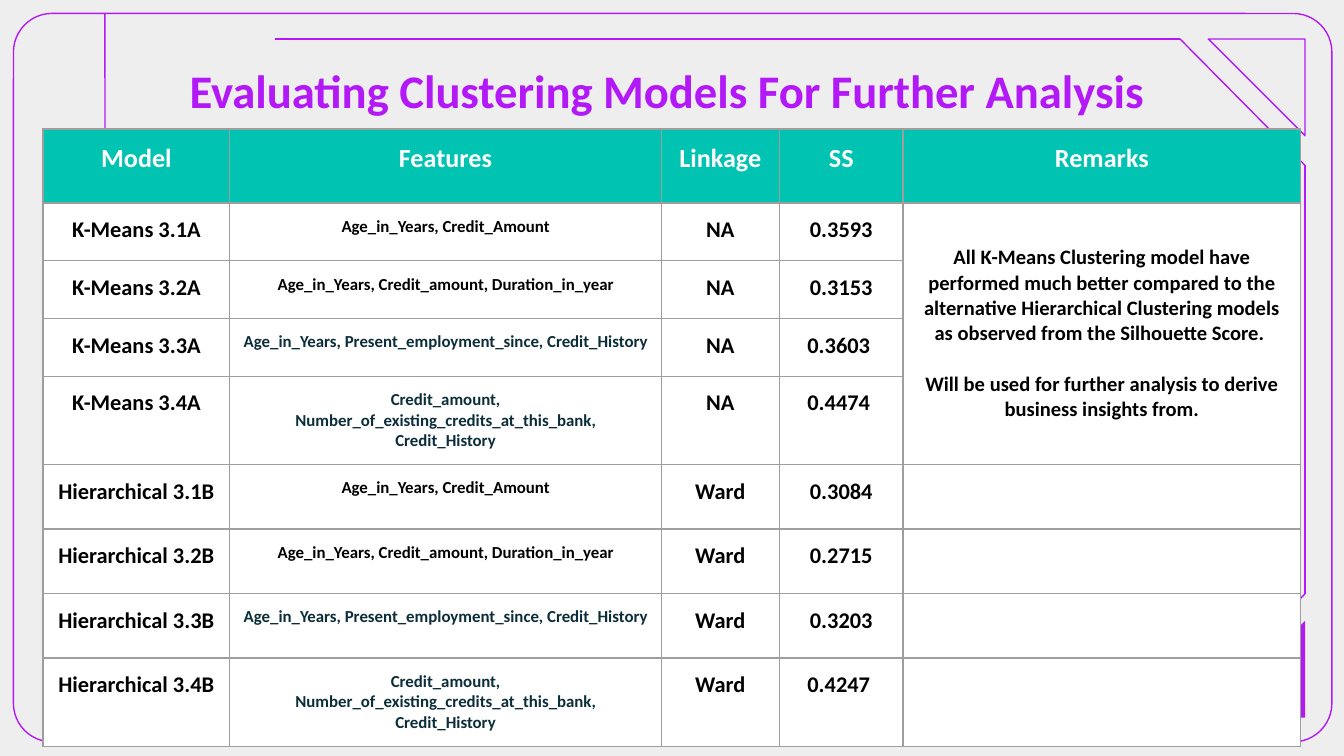
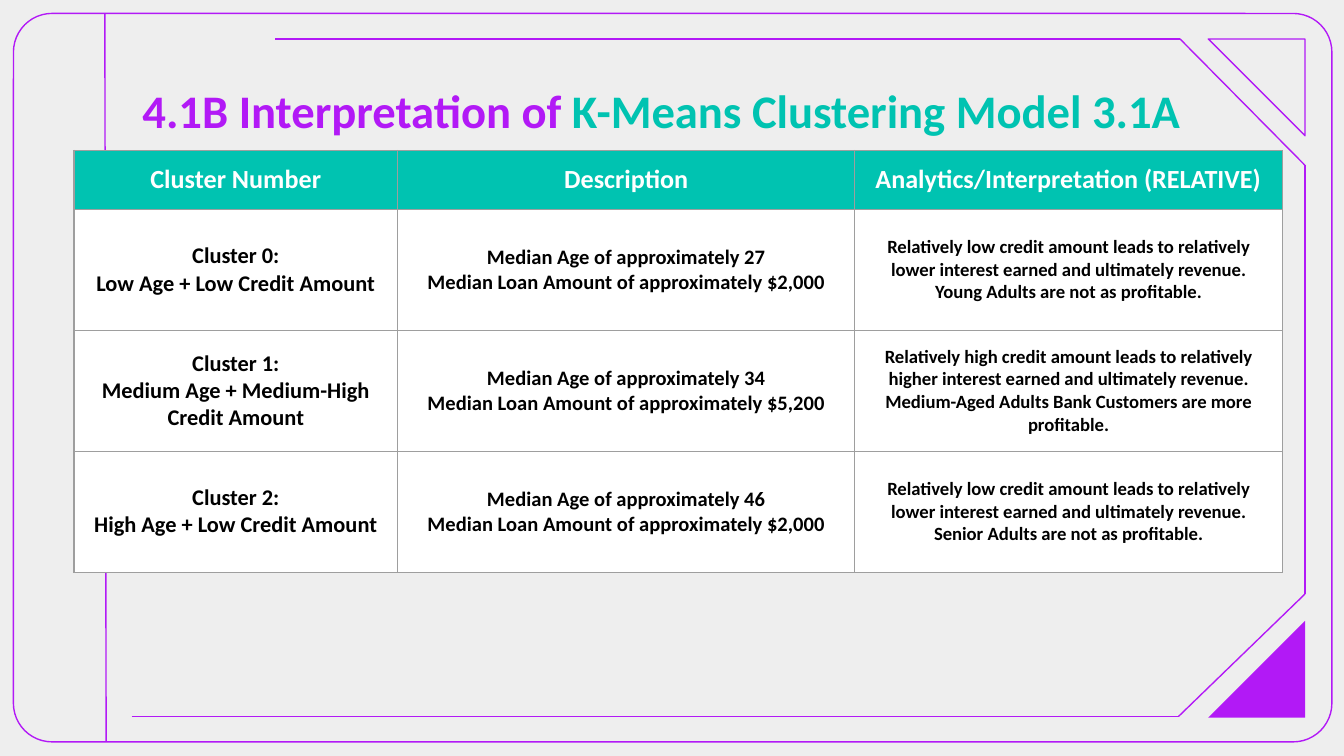
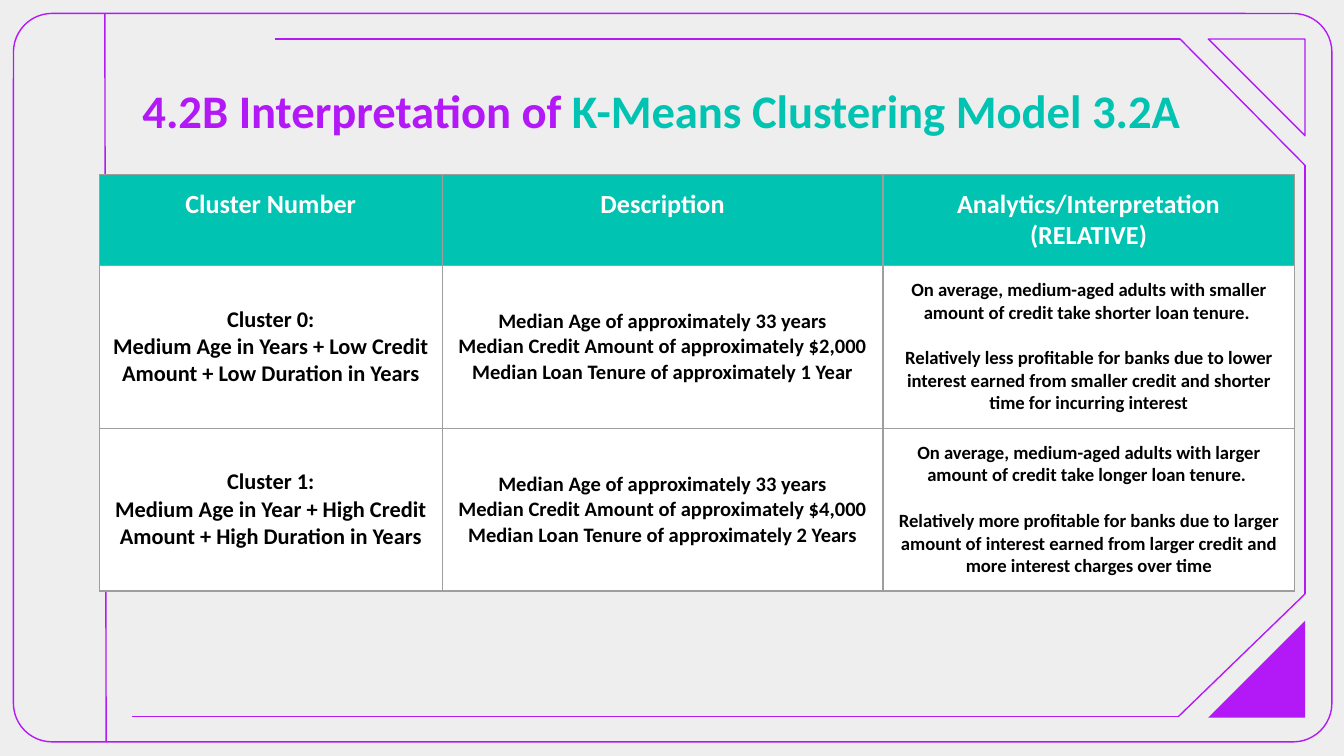
from lxml import etree
from pptx import Presentation
from pptx.dml.color import RGBColor
from pptx.enum.shapes import MSO_CONNECTOR, MSO_SHAPE
from pptx.enum.text import MSO_ANCHOR, MSO_AUTO_SIZE, PP_ALIGN
from pptx.oxml.ns import qn
from pptx.util import Inches, Pt

PURPLE = RGBColor(0xB2, 0x19, 0xF6)
TEAL = RGBColor(0x00, 0xC3, 0xB1)
NAVY = RGBColor(0x0C, 0x2E, 0x3A)
GREY = RGBColor(0x9E, 0x9E, 0x9E)
PALE = RGBColor(0xEE, 0xEE, 0xEE)
WHITE = RGBColor(0xFF, 0xFF, 0xFF)
BLACK = RGBColor(0x00, 0x00, 0x00)
FONT = "Calibri"
LINE_WIDTH = Pt(0.75)
INSET = Inches(0.1)
LINE_HEIGHT = 1.22


class Deck:
    def __init__(self):
        self.prs = Presentation()
        # Widescreen, 16:9
        self.prs.slide_width = Inches(10)
        self.prs.slide_height = Inches(10) * 9 // 16
        self.layout = self.prs.slide_layouts[5]
        for ph in list(self.layout.placeholders)[1:]:
            ph.element.getparent().remove(ph.element)
        self.slide = None

    def new_slide(self):
        self.slide = self.prs.slides.add_slide(self.layout)
        if len(self.prs.slides) == 1:
            self.frame()

    # Shared decoration, placed on the layout
    def frame(self):
        self.layout.background.fill.solid()
        self.layout.background.fill.fore_color.rgb = PALE
        border = self.shape(MSO_SHAPE.ROUNDED_RECTANGLE, 0.1, 0.1, 9.81, 5.42)
        border.adjustments[0] = 0.053
        parts = [border]
        for ends in ((0.78, 0.1, 0.79, 5.52), (0.98, 5.33, 8.77, 5.33),
                     (9.71, 4.42, 8.77, 5.33), (2.05, 0.29, 8.78, 0.29),
                     (9.71, 1.23, 8.78, 0.29), (9.71, 1.23, 9.71, 4.42)):
            parts.append(self.line(*ends))
        for top, turn, filled in ((4.62, 0, True), (0.29, 270, False)):
            corner = self.shape(MSO_SHAPE.RIGHT_TRIANGLE, 8.99, top, 0.72, 0.72, filled)
            corner.rotation = turn
            corner.element.spPr.get_or_add_xfrm().set("flipH", "1")
            parts.append(corner)
        for part in parts:
            self.layout.shapes.element.append(part.element)

    def shape(self, kind, left, top, width, height, filled=False):
        sp = self.slide.shapes.add_shape(
            kind, Inches(left), Inches(top), Inches(width), Inches(height))
        sp.shadow.inherit = False
        if filled:
            sp.fill.solid()
            sp.fill.fore_color.rgb = PURPLE
            sp.line.fill.background()
        else:
            sp.fill.background()
            sp.line.color.rgb = PURPLE
            sp.line.width = LINE_WIDTH
        return sp

    def line(self, x1, y1, x2, y2):
        cn = self.slide.shapes.add_connector(
            MSO_CONNECTOR.STRAIGHT, Inches(x1), Inches(y1), Inches(x2), Inches(y2))
        cn.line.color.rgb = PURPLE
        cn.line.width = LINE_WIDTH
        etree.SubElement(cn.element.spPr, qn("a:effectLst"))
        return cn

    @staticmethod
    def style(r, size, color):
        r.font.name, r.font.size, r.font.bold = FONT, Pt(size), True
        r.font.color.rgb = color

    def title(self, top, height, runs, align=PP_ALIGN.LEFT):
        sp = self.slide.shapes.title
        sp.left, sp.top = Inches(0.96), Inches(top)
        sp.width, sp.height = Inches(8.08), Inches(height)
        tf = sp.text_frame
        tf.auto_size = MSO_AUTO_SIZE.NONE
        tf.word_wrap = True
        tf.vertical_anchor = MSO_ANCHOR.MIDDLE
        tf.margin_left = tf.margin_right = tf.margin_top = tf.margin_bottom = INSET
        p = tf.paragraphs[0]
        p.alignment = align
        for text, color in runs:
            r = p.add_run()
            r.text = text
            self.style(r, 25, color)

    def cell(self, cell, text, size, color, fill, anchor, gap=False):
        cell.fill.solid()
        cell.fill.fore_color.rgb = fill
        cell.vertical_anchor = anchor
        cell.margin_left = cell.margin_right = INSET
        cell.margin_top = cell.margin_bottom = INSET
        self.borders(cell)
        tf = cell.text_frame
        tf.text = text
        for i, p in enumerate(tf.paragraphs):
            p.alignment = PP_ALIGN.CENTER
            if gap and i:
                p.space_before = Pt(round(size * LINE_HEIGHT, 1))
            for r in p.runs:
                self.style(r, size, color)
            if not p.runs:
                etree.SubElement(p._p, qn("a:endParaRPr"), sz=str(size * 100))

    @staticmethod
    def borders(cell):
        tc_pr = cell._tc.get_or_add_tcPr()
        for i, side in enumerate(("lnL", "lnR", "lnT", "lnB")):
            ln = etree.Element(qn(f"a:{side}"), w=str(LINE_WIDTH))
            fill = etree.SubElement(ln, qn("a:solidFill"))
            etree.SubElement(fill, qn("a:srgbClr"), val=str(GREY))
            tc_pr.insert(i, ln)

    def table(self, left, top, widths, heights, sizes, data, anchor=MSO_ANCHOR.MIDDLE):
        """The first row is the header; paragraphs in the last column are spaced apart."""
        table = self.slide.shapes.add_table(
            len(heights), len(widths), Inches(left), Inches(top),
            Inches(sum(widths)), Inches(sum(heights))).table
        for column, width in zip(table.columns, widths):
            column.width = Inches(width)
        for row, height in zip(table.rows, heights):
            row.height = Inches(height)
        last = len(widths) - 1
        for i, row in enumerate(data):
            for j, text in enumerate(row):
                if i == 0:
                    self.cell(table.cell(i, j), text, 14, WHITE, TEAL, MSO_ANCHOR.TOP)
                else:
                    self.cell(table.cell(i, j), text, sizes[j], BLACK, WHITE,
                              MSO_ANCHOR.MIDDLE if j == last else anchor, j == last)
        return table


def model_slide(deck):
    deck.new_slide()
    deck.title(0.25, 0.84, [("Evaluating Clustering Models For Further Analysis ", PURPLE)],
               PP_ALIGN.CENTER)
    features = ["Age_in_Years, Credit_Amount",
                "Age_in_Years, Credit_amount, Duration_in_year",
                "Age_in_Years, Present_employment_since, Credit_History",
                "Credit_amount, Number_of_existing_credits_at_this_bank, Credit_History"]
    families = [("K-Means", "A", "NA", ["0.3593", "0.3153", "0.3603 ", "0.4474 "]),
                ("Hierarchical", "B", "Ward", ["0.3084", "0.2715", "0.3203", "0.4247 "])]
    data = [["Model", "Features", "Linkage", "SS", "Remarks"]]
    for family, letter, linkage, scores in families:
        for n, (feature, score) in enumerate(zip(features, scores), 1):
            data.append([f"{family} 3.{n}{letter}", feature, linkage, score, ""])
    data[1][4] = (
        "All K-Means Clustering model have performed much better compared to the alternative "
        "Hierarchical Clustering models as observed from the Silhouette Score. \n"
        "Will be used for further analysis to derive business insights from.")
    heights = [0.55] + [0.43] * 3 + [0.65] + [0.48] * 3 + [0.65]
    table = deck.table(0.32, 0.96, [1.39, 3.21, 0.88, 0.92, 2.96], heights,
                       [12, 9, 12, 12, 11], data, MSO_ANCHOR.TOP)
    table.cell(1, 4).merge(table.cell(4, 4))
    # Feature sets with credit history are dark blue
    for i, row in enumerate(data):
        if "Credit_History" in row[1]:
            table.cell(i, 1).text_frame.paragraphs[0].runs[0].font.color.rgb = NAVY


def cluster_slide(deck, number, left, top, widths, heights, clusters):
    deck.new_slide()
    deck.title(0.59, 0.46, [(f"4.{number}B Interpretation of ", PURPLE),
                            (f"K-Means Clustering Model 3.{number}A", TEAL)])
    data = [["Cluster Number", "Description", "Analytics/Interpretation (RELATIVE)"]]
    for n, (name, description, analysis) in enumerate(clusters):
        data.append([f"Cluster {n}:\n{name}", description, analysis])
    deck.table(left, top, widths, heights, [12, 11, 10], data)


def age_credit_row(name, age, amount, level, people):
    direction = "higher" if level == "high" else "lower"
    return (name,
            f"Median Age of approximately {age}\nMedian Loan Amount of approximately ${amount}",
            f"Relatively {level} credit amount leads to relatively {direction} interest earned "
            f"and ultimately revenue. {people} profitable.")


def tenure_row(name, amount, tenure, size, length, outcome):
    return (name,
            "Median Age of approximately 33 years\n"
            f"Median Credit Amount of approximately ${amount}\n"
            f"Median Loan Tenure of approximately {tenure}",
            f"On average, medium-aged adults with {size} amount of credit take {length} "
            f"loan tenure. \n{outcome}")


def main():
    deck = Deck()
    model_slide(deck)
    cluster_slide(deck, 1, 0.55, 1.12, [2.41, 3.4, 3.18], [0.43, 0.9, 0.9, 0.9], [
        age_credit_row("Low Age + Low Credit Amount", 27, "2,000", "low",
                       "Young Adults are not as"),
        age_credit_row("Medium Age + Medium-High Credit Amount", 34, "5,200", "high",
                       "Medium-Aged Adults Bank Customers are more"),
        age_credit_row("High Age + Low Credit Amount", 46, "2,000", "low",
                       "Senior Adults are not as")])
    cluster_slide(deck, 2, 0.74, 1.3, [2.55, 3.28, 3.06], [0.67, 1.21, 1.21], [
        tenure_row("Medium Age in Years + Low Credit Amount + Low Duration in Years",
                   "2,000", "1 Year", "smaller", "shorter",
                   "Relatively less profitable for banks due to lower interest earned from "
                   "smaller credit and shorter time for incurring interest"),
        tenure_row("Medium Age in Year + High Credit Amount + High Duration in Years",
                   "4,000", "2 Years", "larger", "longer",
                   "Relatively more profitable for banks due to larger amount of interest "
                   "earned from larger credit and more interest charges over time")])
    deck.prs.save("out.pptx")


if __name__ == "__main__":
    main()
